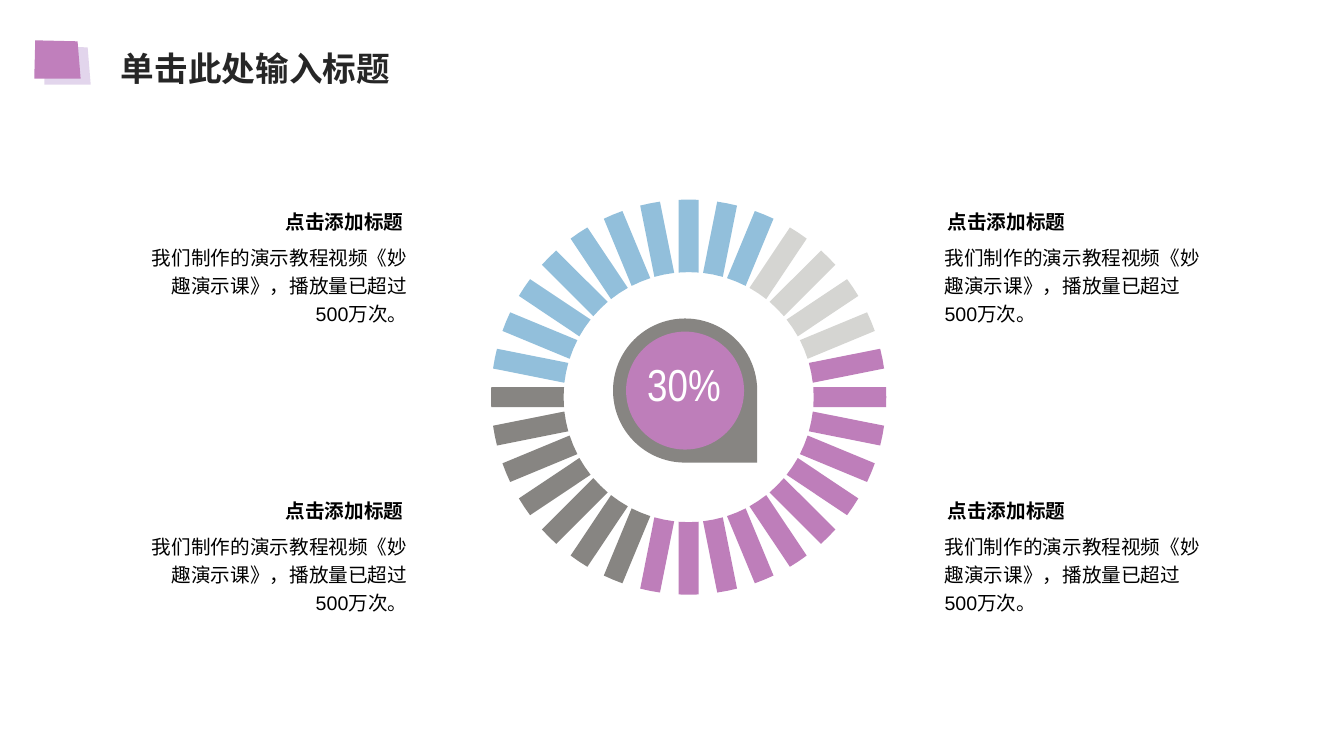
from dataclasses import dataclass
from math import cos, radians, sin, sqrt

from lxml import etree
from pptx import Presentation
from pptx import util as u
from pptx.dml.color import RGBColor
from pptx.enum import shapes, text
from pptx.oxml import ns

Inches = u.Inches


@dataclass(frozen=True)
class Theme:
    pink: str = "BE7EBA"
    badge: str = "C07FBC"
    violet: str = "7030A0"
    blue: str = "92BFDB"
    pale: str = "D5D5D2"
    grey: str = "878582"
    white: str = "FFFFFF"
    black: str = "000000"
    ink: str = "262626"
    sans: str = "Arial"
    thin: str = "Arial Narrow"
    cjk: str = "Noto Sans CJK SC"
    title: int = 24
    body: int = 14
    value: int = 32


T = Theme()
HEAD = "点击添加标题"
BODY = "我们制作的演示教程视频《妙趣演示课》，播放量已超过500万次。"

# Ring geometry
HUB = (6.83, 3.94)
INNER, OUTER, HALF = 1.24, 1.96, 0.1
RUNS = [(T.blue, 3), (T.pale, 4), (T.pink, 11), (T.grey, 7), (T.blue, 7)]


def paint(shape, color, alpha=None):
    shape.shadow.inherit = False
    shape.fill.solid()
    shape.fill.fore_color.rgb = RGBColor.from_string(color)
    shape.line.fill.background()
    if alpha is not None:
        clr = shape.fill._xPr.find(".//" + ns.qn("a:srgbClr"))
        etree.SubElement(clr, ns.qn("a:alpha")).set("val", str(alpha * 1000))


def poly(slide, pts, color, alpha=None):
    pts = [(Inches(x), Inches(y)) for x, y in pts]
    build = slide.shapes.build_freeform(*pts[0], scale=1.0)
    build.add_line_segments(pts[1:], close=True)
    paint(build.convert_to_shape(), color, alpha)


def preset(slide, kind, box, color, turn=0):
    shape = slide.shapes.add_shape(kind, *map(Inches, box))
    shape.rotation = turn
    paint(shape, color)


def write(slide, words, box, size=T.body, font=T.sans, color=T.black,
          bold=False, right=False, wrap=True, space=None, inset=None):
    frame = slide.shapes.add_textbox(*map(Inches, box)).text_frame
    frame.word_wrap = wrap
    frame.auto_size = text.MSO_AUTO_SIZE.SHAPE_TO_FIT_TEXT
    if inset is not None:
        frame.margin_left = frame.margin_right = Inches(inset)
        frame.margin_top = frame.margin_bottom = Inches(inset)
    para = frame.paragraphs[0]
    para.alignment = text.PP_ALIGN.RIGHT if right else text.PP_ALIGN.LEFT
    if space:
        para.line_spacing = space
    run = para.add_run()
    run.text = words
    run.font.size, run.font.bold, run.font.name = u.Pt(size), bold, font
    run.font.color.rgb = RGBColor.from_string(color)
    east = etree.SubElement(run.font._element, ns.qn("a:ea"))
    east.set("typeface", font)


def bar(slide, angle, color):
    """One ring bar with parallel sides and curved ends."""
    ends = [(x, sqrt(OUTER**2 - x**2)) for x in (-HALF, 0, HALF)]
    ends += [(x, sqrt(INNER**2 - x**2)) for x in (HALF, 0, -HALF)]
    c, s = cos(radians(angle)), sin(radians(angle))
    pts = [(HUB[0] + x * c + r * s, HUB[1] + x * s - r * c) for x, r in ends]
    poly(slide, pts, color)


def ring(slide):
    hues = [hue for hue, count in RUNS for _ in range(count)]
    for i, hue in enumerate(hues):
        bar(slide, i * 360 / len(hues), hue)


def gauge(slide):
    kind = shapes.MSO_SHAPE
    preset(slide, kind.TEAR, (6.08, 3.16, 1.43, 1.43), T.grey, turn=90)
    preset(slide, kind.OVAL, (6.21, 3.29, 1.17, 1.17), T.pink)
    write(slide, "30%", (6.32, 3.49, 0.99, 0.64), size=T.value,
          font=T.thin, color=T.white, wrap=False)


def note(slide, left, top, right):
    """Heading and text; right-aligned pairs share an edge near the ring."""
    head = left + (1.26 if right else 0.03)
    write(slide, HEAD, (head, top, 1.53, 0.34), font=T.cjk,
          bold=True, right=right)
    write(slide, BODY, (left, top + 0.31, 2.83, 0.92), right=right, space=1.2)


def header(slide):
    tile = [(0.34, 0.78), (0.35, 0.4), (0.77, 0.41), (0.8, 0.78)]
    poly(slide, [(x + 0.1, y + 0.06) for x, y in tile], T.violet, alpha=20)
    poly(slide, tile, T.badge)
    write(slide, "单击此处输入标题", (1.2, 0.4, 3.08, 0.48), size=T.title,
          font=T.cjk, color=T.ink, bold=True, space=1.2, inset=0)


def main():
    deck = Presentation()
    deck.slide_width, deck.slide_height = Inches(13.33), Inches(7.5)
    slide = deck.slides.add_slide(deck.slide_layouts[6])
    ring(slide)
    gauge(slide)
    # Notes on both sides of the ring
    for left, right in ((1.31, True), (9.27, False)):
        for top in (2.03, 4.9):
            note(slide, left, top, right)
    header(slide)
    deck.save("out.pptx")


if __name__ == "__main__":
    main()
